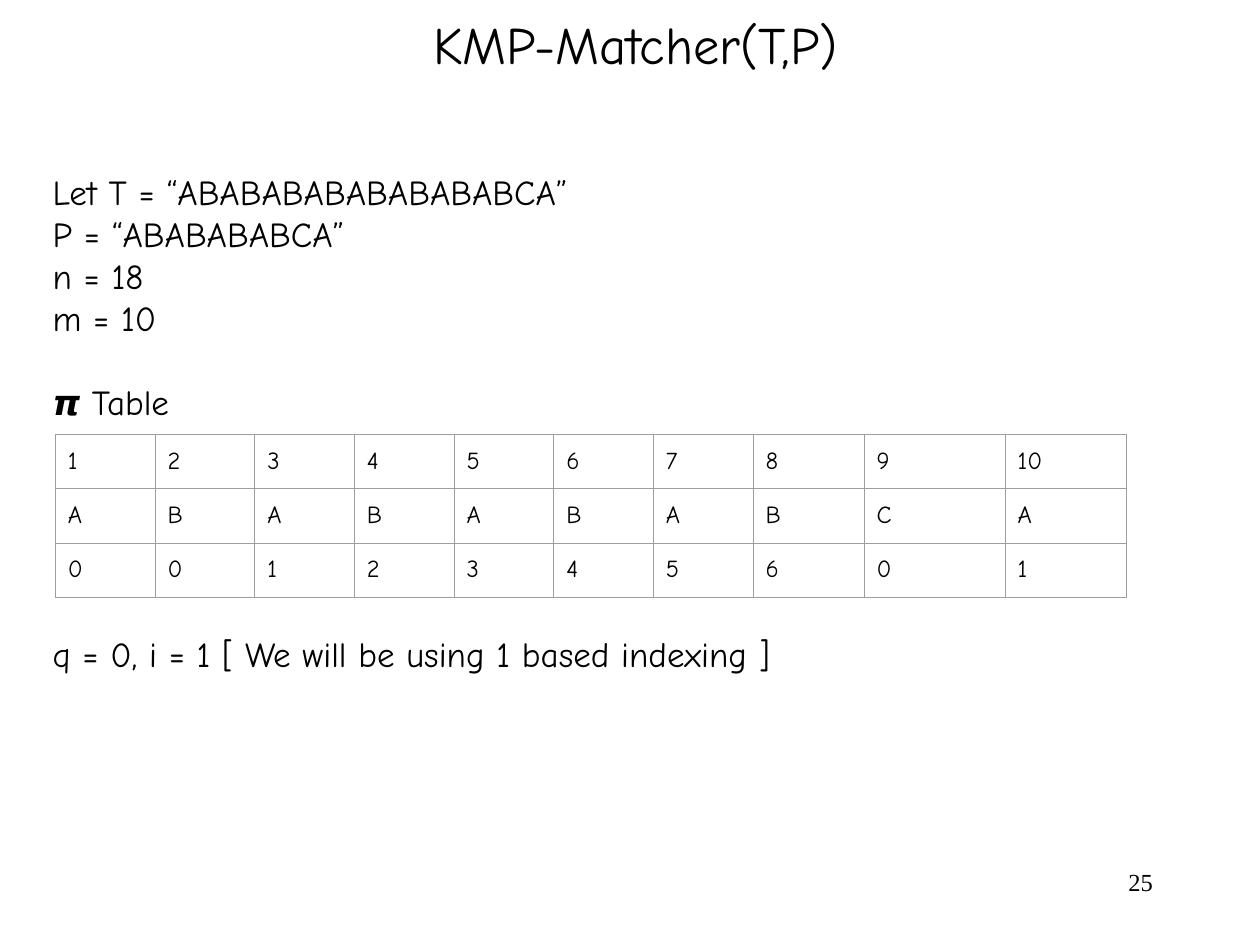
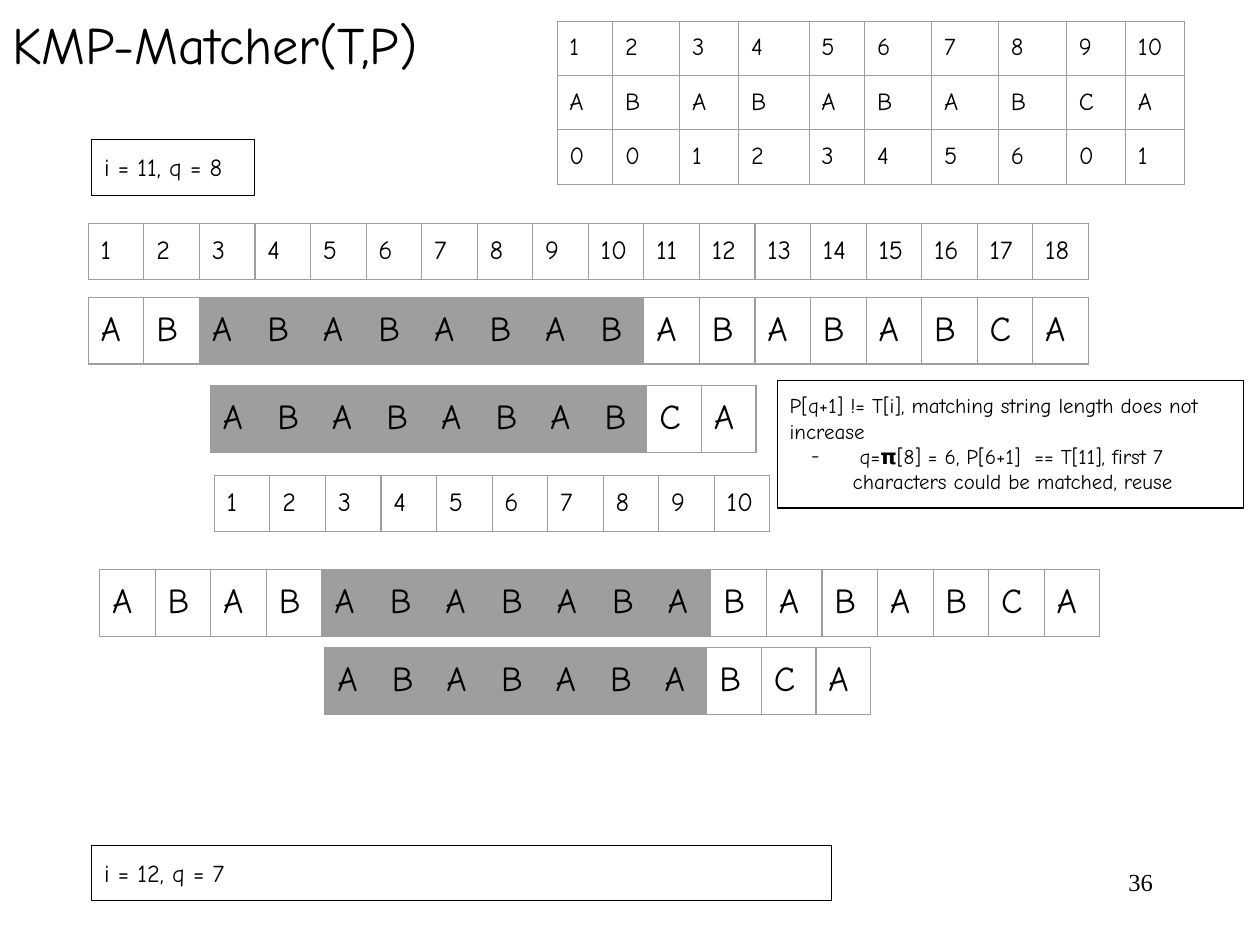
import pptx
import pptx.util
import pptx.dml.color
import pptx.enum.shapes
import pptx.enum.text
import pptx.oxml
import pptx.oxml.ns
from pptx.util import Cm, Pt

BLACK = pptx.dml.color.RGBColor(0x00, 0x00, 0x00)
GREY = pptx.dml.color.RGBColor(0x9E, 0x9E, 0x9E)
MAIN_FONT = "Comic Neue"
NUMBER_FONT = "Times New Roman"
LEFT = pptx.enum.text.PP_ALIGN.LEFT
CENTER = pptx.enum.text.PP_ALIGN.CENTER
RIGHT = pptx.enum.text.PP_ALIGN.RIGHT

INSET = 0.25
ROW_HEIGHT = 1.07
TEXT_CELL = 1.12
PATTERN_CELL = 1.1

TITLE = "KMP-Matcher(T,P)"
TEXT = "ABABABABABABABABCA"
PATTERN = "ABABABABCA"
PREFIX_TABLE = [range(1, 11), PATTERN, [0, 0, 1, 2, 3, 4, 5, 6, 0, 1]]


def write_paragraph(paragraph, text, size, font=MAIN_FONT, align=LEFT):
    paragraph.alignment = align
    run = paragraph.add_run()
    run.text = text
    run.font.name = font
    run.font.size = Pt(size)
    run.font.color.rgb = BLACK


def prepare_frame(shape, vertical_inset=INSET, grow=True):
    frame = shape.text_frame
    frame.word_wrap = True
    frame.vertical_anchor = pptx.enum.text.MSO_ANCHOR.TOP
    frame.margin_left = frame.margin_right = Cm(INSET)
    frame.margin_top = frame.margin_bottom = Cm(vertical_inset)
    if grow:
        frame.auto_size = pptx.enum.text.MSO_AUTO_SIZE.SHAPE_TO_FIT_TEXT
    return frame


def add_text_box(slide, box, **frame_options):
    shape = slide.shapes.add_textbox(*map(Cm, box))
    return prepare_frame(shape, **frame_options)


def add_outlined_box(slide, box):
    shape = slide.shapes.add_shape(
        pptx.enum.shapes.MSO_SHAPE.RECTANGLE, *map(Cm, box))
    shape.shadow.inherit = False
    shape.fill.background()
    shape.line.color.rgb = BLACK
    shape.line.width = Pt(0.75)
    return prepare_frame(shape)


def add_title(slide, width, align):
    frame = add_text_box(slide, (0, 0, width, 1.8))
    write_paragraph(frame.paragraphs[0], TITLE, 30, align=align)


def add_page_number(slide, number):
    frame = add_text_box(slide, (18.21, 17.35, 5.28, 1.27),
                         vertical_inset=0.13, grow=False)
    write_paragraph(frame.paragraphs[0], str(number), 14, NUMBER_FONT, RIGHT)


def add_cell_borders(cell):
    properties = cell._tc.get_or_add_tcPr()
    for position, side in enumerate(("lnL", "lnR", "lnT", "lnB")):
        border = pptx.oxml.parse_xml(
            f'<a:{side} {pptx.oxml.ns.nsdecls("a")} w="{Pt(0.75)}">'
            f'<a:solidFill><a:srgbClr val="{GREY}"/></a:solidFill></a:{side}>')
        properties.insert(position, border)


def add_grid(slide, left, top, rows, column_widths, size, shaded=()):
    """Draw rows of values; the column positions in shaded are grey."""
    frame = slide.shapes.add_table(
        len(rows), len(column_widths), Cm(left), Cm(top),
        Cm(sum(column_widths)), Cm(ROW_HEIGHT * len(rows)))
    table = frame.table
    table.first_row = table.horz_banding = False
    for column, width in zip(table.columns, column_widths):
        column.width = Cm(width)
    for row_index, values in enumerate(rows):
        table.rows[row_index].height = Cm(ROW_HEIGHT)
        for column_index, value in enumerate(values):
            cell = table.cell(row_index, column_index)
            cell.margin_left = cell.margin_right = Cm(INSET)
            cell.margin_top = cell.margin_bottom = Cm(INSET)
            if column_index in shaded:
                cell.fill.solid()
                cell.fill.fore_color.rgb = GREY
            else:
                cell.fill.background()
            add_cell_borders(cell)
            write_paragraph(cell.text_frame.paragraphs[0], str(value), size)


def add_index_row(slide, left, top, count):
    add_grid(slide, left, top, [range(1, count + 1)], [TEXT_CELL] * count, 15)


def add_alignment(slide, left, top, pattern_offset, shift, matched):
    """Place the pattern under the text and shade the matched letters."""
    across, down = pattern_offset
    add_grid(slide, left, top, [TEXT], [TEXT_CELL] * len(TEXT), 20,
             range(shift, shift + matched))
    add_grid(slide, left + across, top + down, [PATTERN],
             [PATTERN_CELL] * len(PATTERN), 20, range(matched))


def add_state(slide, box, text):
    frame = add_outlined_box(slide, box)
    write_paragraph(frame.paragraphs[0], text, 14)


def add_mismatch_note(slide, box):
    frame = add_outlined_box(slide, box)
    write_paragraph(frame.paragraphs[0],
                    "P[q+1] != T[i], matching string length does not increase", 12)
    reuse = frame.add_paragraph()
    properties = reuse._p.get_or_add_pPr()
    properties.set("marL", str(Cm(1.27)))
    properties.set("indent", str(Cm(-0.84)))
    for bullet in ('<a:buClr {}><a:srgbClr val="000000"/></a:buClr>',
                   '<a:buFont {} typeface="Comic Neue"/>',
                   '<a:buChar {} char="-"/>'):
        properties.append(pptx.oxml.parse_xml(
            bullet.format(pptx.oxml.ns.nsdecls("a"))))
    write_paragraph(reuse, " q=𝝿[8] = 6, P[6+1]  == T[11], first 7 characters "
                           "could be matched, reuse", 12)


def add_setup_text(slide, box):
    # Space before leaves a gap above the table heading and room for the table
    lines = [(f"Let T = “{TEXT}”", 0), (f"P = “{PATTERN}”", 0),
             ("n = 18", 0), ("m = 10", 0), ("𝞹 Table", 24),
             ("q = 0, i = 1 [ We will be using 1 based indexing ]", 120)]
    frame = add_text_box(slide, box)
    for index, (text, gap) in enumerate(lines):
        paragraph = frame.add_paragraph() if index else frame.paragraphs[0]
        if gap:
            paragraph.space_before = Pt(gap)
        write_paragraph(paragraph, text, 20)


def build_setup_slide(slide):
    add_page_number(slide, 25)
    add_title(slide, 25.63, CENTER)
    add_setup_text(slide, (0.81, 3.18, 23.22, 13.34))
    add_grid(slide, 1.12, 8.76, PREFIX_TABLE,
             [2.01] * 7 + [2.24, 2.84, 2.44], 14)


def build_step_slide(slide):
    add_page_number(slide, 36)
    add_title(slide, 10.11, LEFT)
    add_grid(slide, 11.23, 0.43, PREFIX_TABLE,
             [1.12, 1.35, 1.19, 1.42, 1.12, 1.35, 1.35, 1.37, 1.19, 1.19], 14)
    # State before the step, with numbered text and pattern
    add_state(slide, (1.85, 2.82, 3.28, 1.12), "i = 11, q = 8")
    add_index_row(slide, 1.78, 4.5, len(TEXT))
    add_alignment(slide, 1.78, 5.99, (2.46, 1.78), shift=2, matched=8)
    add_index_row(slide, 4.32, 9.58, len(PATTERN))
    add_mismatch_note(slide, (15.67, 7.67, 9.4, 2.57))
    # State after the step
    add_alignment(slide, 2.01, 11.48, (4.54, 1.58), shift=4, matched=7)
    add_state(slide, (1.85, 17.04, 14.91, 1.12), "i = 12, q = 7")


def main():
    presentation = pptx.Presentation()
    presentation.slide_width = Cm(25.4)
    presentation.slide_height = Cm(19.05)
    blank_layout = presentation.slide_layouts[6]
    for build_slide in (build_setup_slide, build_step_slide):
        build_slide(presentation.slides.add_slide(blank_layout))
    presentation.save("out.pptx")


if __name__ == "__main__":
    main()
